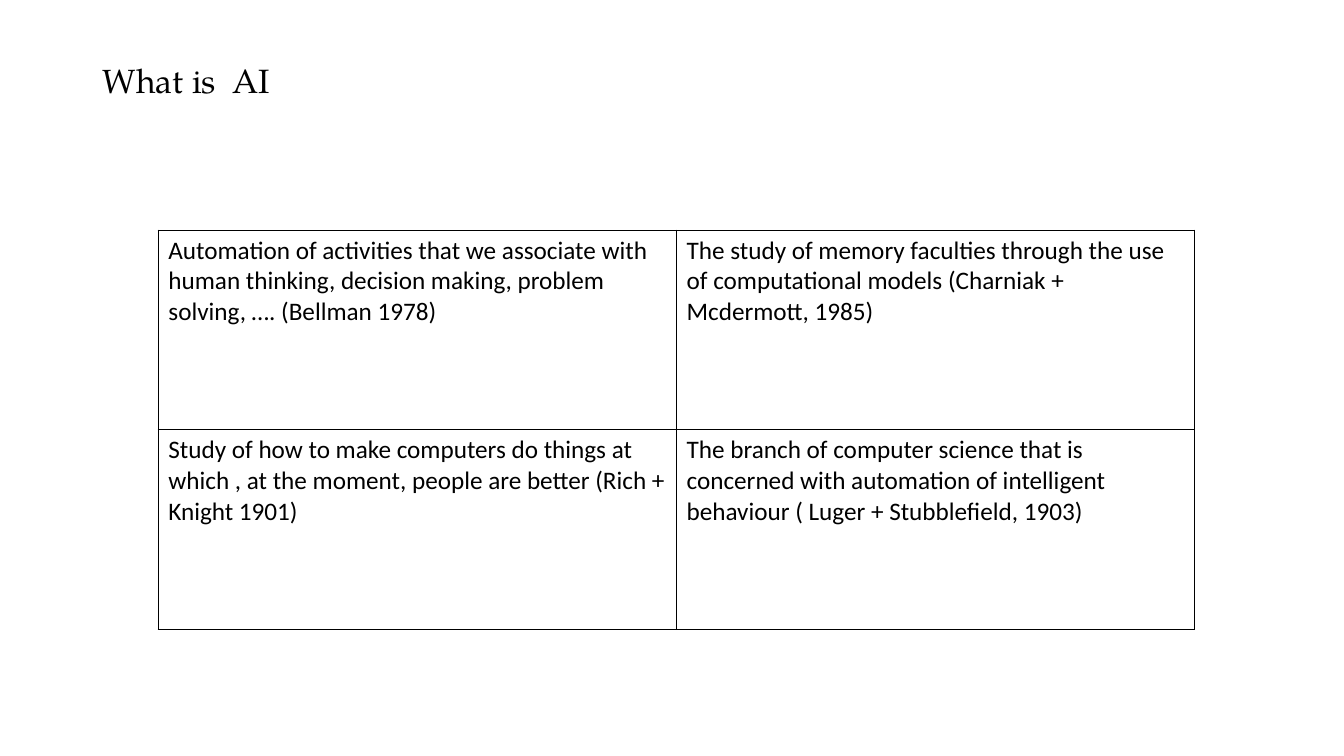
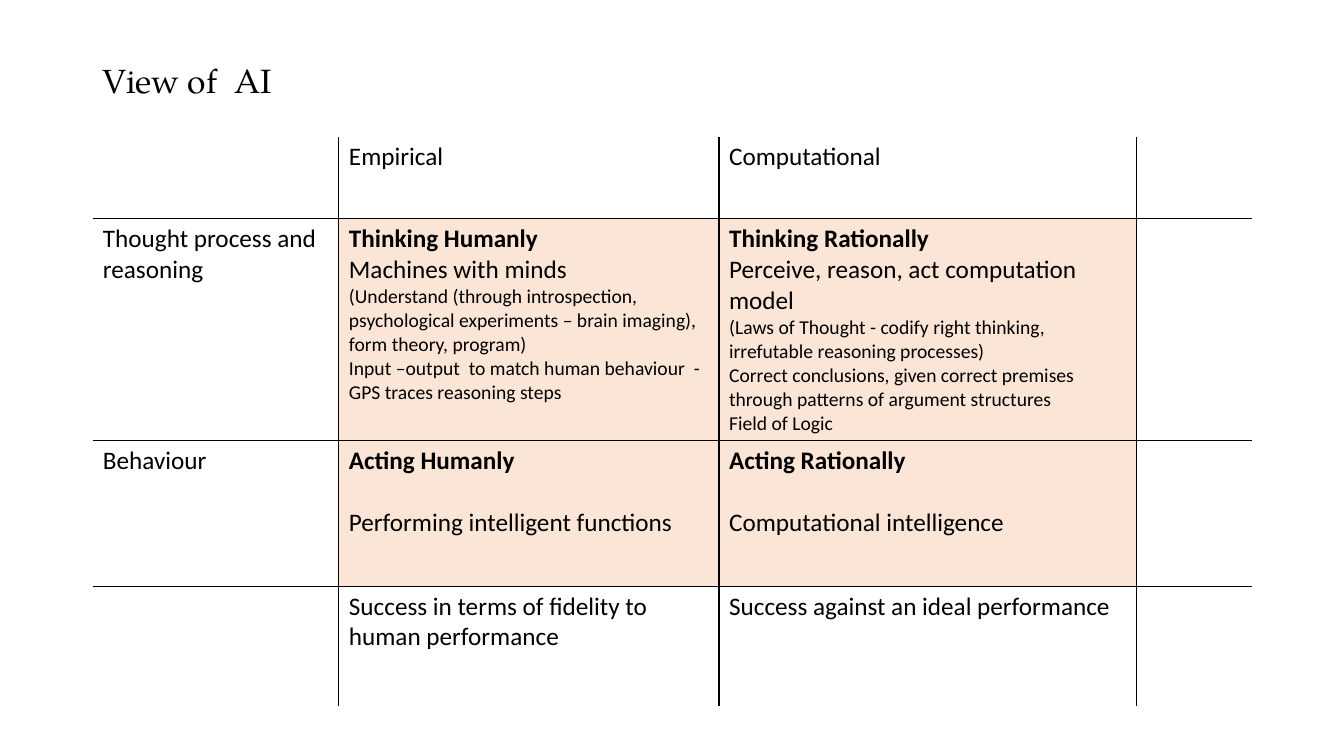
from lxml import etree
from pptx import Presentation
from pptx.dml.color import RGBColor
from pptx.enum.text import MSO_ANCHOR
from pptx.oxml.ns import qn
from pptx.util import Cm, Pt

INK = "000000"
PEACH = "FBE5D6"
TITLE_FONT = "TeX Gyre Pagella"
BODY_FONT = "Calibri"
MARGIN = 2.34
CONTENT_WIDTH = 29.21

PLAIN = {}
HEADING = {"bold": True}
DETAIL = {"size": 14}
AFTER_GAP = {"space_before": 22}

DEFINITIONS = [
    [
        [("Automation of activities that we associate with human thinking, "
          "decision making, problem solving, …. (Bellman 1978)", PLAIN)],
        [("The study of memory faculties through the use of computational "
          "models (Charniak + Mcdermott, 1985)", PLAIN)],
    ],
    [
        [("Study of how to make computers do things at which , at the moment, "
          "people are better (Rich + Knight 1901)", PLAIN)],
        [("The branch of computer science that is concerned with automation of "
          "intelligent behaviour ( Luger + Stubblefield, 1903)", PLAIN)],
    ],
]

VIEWS = [
    [[], [("Empirical", PLAIN)], [("Computational", PLAIN)], []],
    [
        [("Thought process and reasoning", PLAIN)],
        [
            ("Thinking Humanly", HEADING),
            ("Machines with minds", PLAIN),
            ("(Understand (through introspection, psychological experiments – "
             "brain imaging), form theory, program)", DETAIL),
            ("Input –output  to match human behaviour  - GPS traces reasoning "
             "steps", DETAIL),
        ],
        [
            ("Thinking Rationally", HEADING),
            ("Perceive, reason, act computation model", PLAIN),
            ("(Laws of Thought - codify right thinking, irrefutable reasoning "
             "processes)", DETAIL),
            ("Correct conclusions, given correct premises through patterns of "
             "argument structures", DETAIL),
            ("Field of Logic", DETAIL),
        ],
        [],
    ],
    [
        [("Behaviour", PLAIN)],
        [("Acting Humanly", HEADING),
         ("Performing intelligent functions", AFTER_GAP)],
        [("Acting Rationally", HEADING),
         ("Computational intelligence", AFTER_GAP)],
        [],
    ],
    [
        [],
        [("Success in terms of fidelity to human performance", PLAIN)],
        [("Success against an ideal performance", PLAIN)],
        [],
    ],
]


def rgb(hex_color):
    return RGBColor.from_string(hex_color)


def write(paragraph, text, size=18, bold=False, font=BODY_FONT, color=INK,
          space_before=0, line_spacing=1.0):
    paragraph.space_before = Pt(space_before)
    paragraph.line_spacing = line_spacing
    run = paragraph.add_run()
    run.text = text
    run.font.size = Pt(size)
    run.font.bold = bold
    run.font.name = font
    run.font.color.rgb = rgb(color)


def add_titled_slide(prs, title):
    slide = prs.slides.add_slide(prs.slide_layouts[6])
    box = slide.shapes.add_textbox(Cm(MARGIN), Cm(1.02), Cm(CONTENT_WIDTH), Cm(2.11))
    frame = box.text_frame
    frame.word_wrap = True
    frame.vertical_anchor = MSO_ANCHOR.MIDDLE
    write(frame.paragraphs[0], title, size=24, font=TITLE_FONT, line_spacing=0.9)
    return slide


def set_borders(cell, drawn):
    """Rule the sides marked True in drawn, and clear the others."""
    properties = cell._tc.get_or_add_tcPr()
    for position, (side, visible) in enumerate(drawn.items()):
        line = etree.Element(qn("a:ln" + side), w=str(Pt(1)))
        if visible:
            fill = etree.SubElement(line, qn("a:solidFill"))
            etree.SubElement(fill, qn("a:srgbClr"), val=INK)
        else:
            etree.SubElement(line, qn("a:noFill"))
        properties.insert(position, line)


def fill_cell(cell, paragraphs, fill):
    if fill:
        cell.fill.solid()
        cell.fill.fore_color.rgb = rgb(fill)
    else:
        cell.fill.background()
    frame = cell.text_frame
    for index, (text, style) in enumerate(paragraphs):
        paragraph = frame.add_paragraph() if index else frame.paragraphs[0]
        write(paragraph, text, **style)


def add_grid(slide, content, left, top, widths, heights, framed=True, shaded=()):
    """Add a ruled table; framed draws its outer edge, shaded lists (row, column)."""
    last_row, last_column = len(heights) - 1, len(widths) - 1
    table = slide.shapes.add_table(
        len(heights), len(widths), Cm(left), Cm(top),
        Cm(sum(widths)), Cm(sum(heights))).table
    table.first_row = table.horz_banding = False
    for column, width in zip(table.columns, widths):
        column.width = Cm(width)
    for r, (row, height) in enumerate(zip(table.rows, heights)):
        row.height = Cm(height)
        for c, cell in enumerate(row.cells):
            fill_cell(cell, content[r][c], PEACH if (r, c) in shaded else None)
            set_borders(cell, {
                "L": framed or c > 0,
                "R": framed or c < last_column,
                "T": framed or r > 0,
                "B": framed or r < last_row,
            })


def main():
    prs = Presentation()
    prs.slide_width, prs.slide_height = Cm(33.87), Cm(19.05)

    add_grid(add_titled_slide(prs, "What is  AI"), DEFINITIONS, 3.99, 5.8,
             widths=[13.06] * 2, heights=[5.03] * 2)
    add_grid(add_titled_slide(prs, "View of  AI"), VIEWS, MARGIN, 3.45,
             widths=[6.2, 9.58, 10.52, 2.91], heights=[2.06, 5.6, 3.66, 3.02],
             framed=False, shaded=[(r, c) for r in (1, 2) for c in (1, 2)])

    prs.save("out.pptx")


if __name__ == "__main__":
    main()
